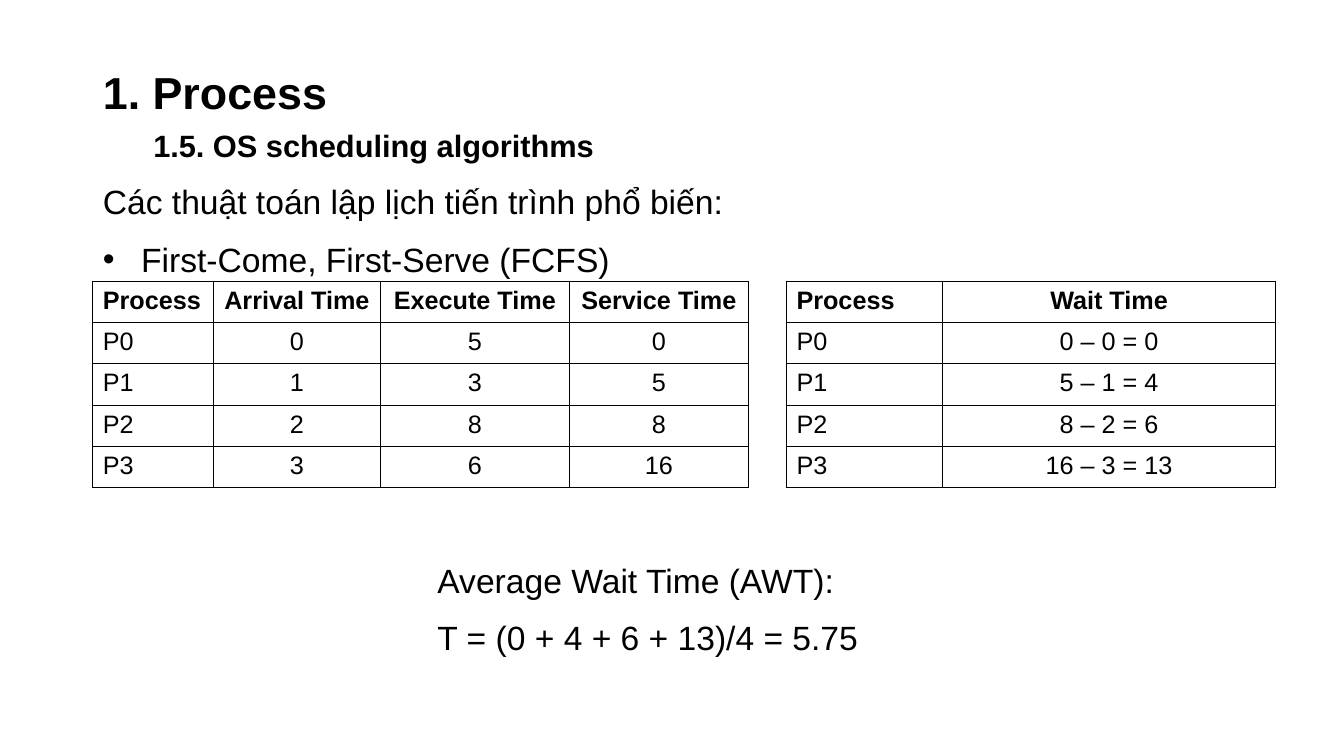
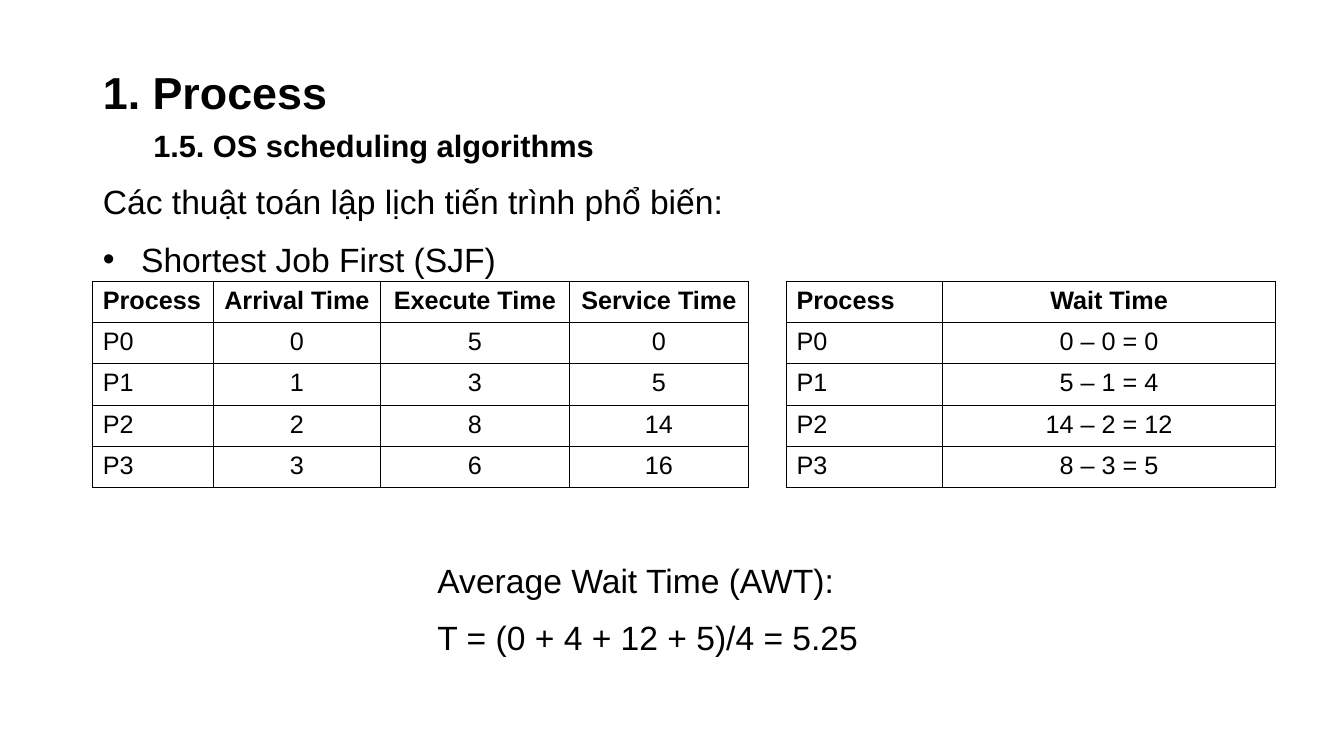
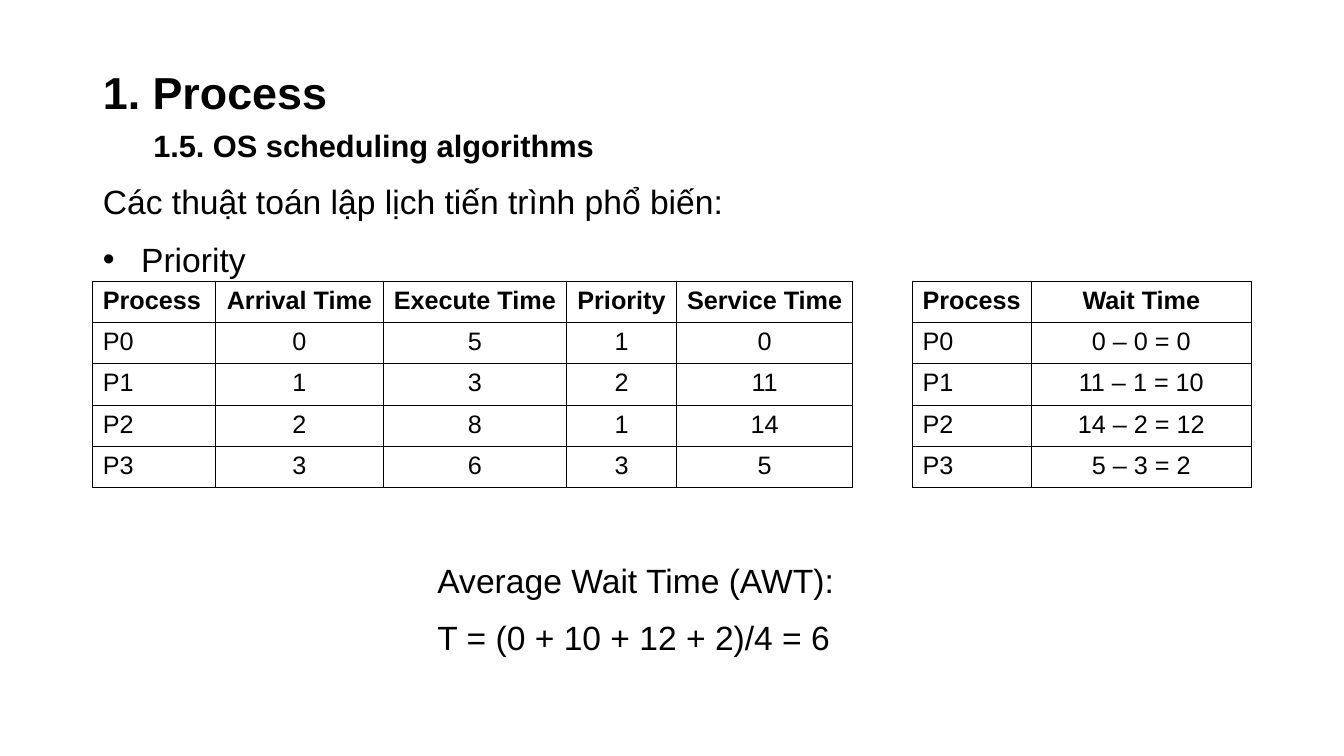
from dataclasses import dataclass

from pptx import Presentation
from pptx.dml.color import RGBColor
from pptx.enum.text import MSO_ANCHOR as Anchor, MSO_AUTO_SIZE as AutoSize, PP_ALIGN as Align
from pptx.oxml.ns import qn
from pptx.oxml.xmlchemy import OxmlElement as Element
from pptx.util import Pt

SCALE = 9144


@dataclass(frozen=True)
class Theme:
    """Colours, font and type sizes shared by all slides."""
    ink: str = "000000"
    paper: str = "FFFFFF"
    font: str = "Arial"
    title: int = 32
    subtitle: int = 22
    body: int = 24
    cell: int = 18


T = Theme()
TITLE_BOX = (92, 64, 575, 108)
BODY_BOX = (92, 172, 650, 108)
AVERAGE_BOX = (424, 548, 485, 108)
TABLE_TOP, ROW_H = 279, 41
PROCESS_LEFT = 92
PROCESSES = ("P0", "P1", "P2", "P3")
ARRIVAL = (0, 1, 2, 3)
EXECUTE = (5, 3, 8, 6)

SLIDES = (
    {"name": "First-Come, First-Serve (FCFS)", "service": (0, 5, 8, 16),
     "starts": (0, 5, 8, 16), "widths": (120, 165, 188, 177),
     "wait_left": 780, "wait_widths": (155, 330)},
    {"name": "Shortest Job First (SJF)", "service": (0, 5, 14, 16),
     "starts": (0, 5, 14, 8), "widths": (120, 165, 188, 177),
     "wait_left": 780, "wait_widths": (155, 330)},
    {"name": "Priority", "service": (0, 11, 14, 5), "priority": (1, 2, 1, 3),
     "starts": (0, 11, 14, 5), "widths": (122, 166, 182, 109, 175),
     "wait_left": 905, "wait_widths": (118, 218)},
)


def px(n):
    """Turn px into EMU."""
    return n * SCALE


def place(sp, box):
    """Move a shape to a box given in px."""
    sp.left, sp.top, sp.width, sp.height = map(px, box)


def add_run(p, text, size, bold=False):
    """Add one run in the theme font."""
    r = p.add_run()
    r.text = text
    r.font.name, r.font.size, r.font.bold = T.font, Pt(size), bold
    r.font.color.rgb = RGBColor.from_string(T.ink)


def set_bullet(p, char=None, indent=0):
    """Give a paragraph a hanging bullet, or none."""
    pPr = p._p.get_or_add_pPr()
    pPr.set("marL", str(px(indent)))
    pPr.set("indent", str(px(-indent)))
    bu = Element("a:buChar" if char else "a:buNone")
    if char:
        bu.set("char", char)
    pPr.append(bu)


def style_master(prs):
    """Set the title style on the slide master."""
    lvl = prs.slide_master.element.find(".//" + qn("p:titleStyle") + "/" + qn("a:lvl1pPr"))
    lvl.set("algn", "l")
    rPr = lvl.find(qn("a:defRPr"))
    rPr.set("sz", str(T.title * 100))
    rPr.set("b", "1")


def add_title(sp, box):
    """Fill the title placeholder with section and subsection."""
    place(sp, box)
    tf = sp.text_frame
    tf.auto_size, tf.vertical_anchor = AutoSize.NONE, Anchor.MIDDLE
    p = tf.paragraphs[0]
    p.line_spacing = 0.9
    add_run(p, "1. Process", T.title, True)
    p.add_line_break()
    add_run(p, "\t", T.title, True)
    add_run(p, "1.5. OS scheduling algorithms", T.subtitle, True)


def add_lines(sp, box, lines):
    """Fill a text shape with (text, bullet) lines."""
    place(sp, box)
    tf = sp.text_frame
    tf.word_wrap, tf.auto_size, tf.vertical_anchor = True, AutoSize.NONE, Anchor.TOP
    for i, (text, bullet) in enumerate(lines):
        p = tf.add_paragraph() if i else tf.paragraphs[0]
        p.alignment, p.line_spacing, p.space_before = Align.JUSTIFY, 1.07, Pt(10)
        set_bullet(p, bullet, 38 if bullet else 0)
        add_run(p, text, T.body)


def style_cell(cell):
    """Give a cell thin borders and a plain fill."""
    tcPr = cell._tc.get_or_add_tcPr()
    for side in ("L", "R", "T", "B"):
        ln = Element("a:ln" + side)
        ln.set("w", str(Pt(1)))
        fill, clr = Element("a:solidFill"), Element("a:srgbClr")
        clr.set("val", T.ink)
        fill.append(clr)
        ln.append(fill)
        tcPr.append(ln)
    cell.fill.solid()
    cell.fill.fore_color.rgb = RGBColor.from_string(T.paper)


def add_grid(slide, left, top, widths, columns):
    """Add a table from (heading, values) columns."""
    rows = list(zip(*((head, *values) for head, values in columns)))
    table = slide.shapes.add_table(len(rows), len(widths), px(left), px(top),
                                   px(sum(widths)), px(ROW_H * len(rows))).table
    table.first_row = table.horz_banding = False
    for col, width in zip(table.columns, widths):
        col.width = px(width)
    for i, row in enumerate(rows):
        table.rows[i].height = px(ROW_H)
        for j, value in enumerate(row):
            cell = table.cell(i, j)
            style_cell(cell)
            p = cell.text_frame.paragraphs[0]
            p.alignment = Align.CENTER if j else Align.LEFT
            add_run(p, str(value), T.cell, i == 0)


def add_algorithm(prs, data):
    """Add the slide of one scheduling algorithm."""
    slide = prs.slides.add_slide(prs.slide_layouts[1])
    add_title(slide.shapes.title, TITLE_BOX)
    add_lines(slide.placeholders[1], BODY_BOX,
              [("Các thuật toán lập lịch tiến trình phổ biến:", None), (data["name"], "•")])
    waits = [s - a for s, a in zip(data["starts"], ARRIVAL)]
    sums = [f"{s} – {a} = {w}" for s, a, w in zip(data["starts"], ARRIVAL, waits)]
    names = ("Process", PROCESSES)
    add_grid(slide, data["wait_left"], TABLE_TOP, data["wait_widths"],
             [names, ("Wait Time", sums)])
    average = f"T = ({' + '.join(map(str, waits))})/{len(waits)} = {sum(waits) / len(waits):g}"
    add_lines(slide.shapes.add_textbox(0, 0, 0, 0), AVERAGE_BOX,
              [("Average Wait Time (AWT):", None), (average, None)])
    columns = [names, ("Arrival Time", ARRIVAL), ("Execute Time", EXECUTE)]
    if "priority" in data:
        columns.append(("Priority", data["priority"]))
    columns.append(("Service Time", data["service"]))
    add_grid(slide, PROCESS_LEFT, TABLE_TOP, data["widths"], columns)


def main():
    """Build and save the presentation."""
    prs = Presentation()
    prs.slide_width, prs.slide_height = px(1333), px(750)
    style_master(prs)
    for data in SLIDES:
        add_algorithm(prs, data)
    prs.save("out.pptx")


if __name__ == "__main__":
    main()
